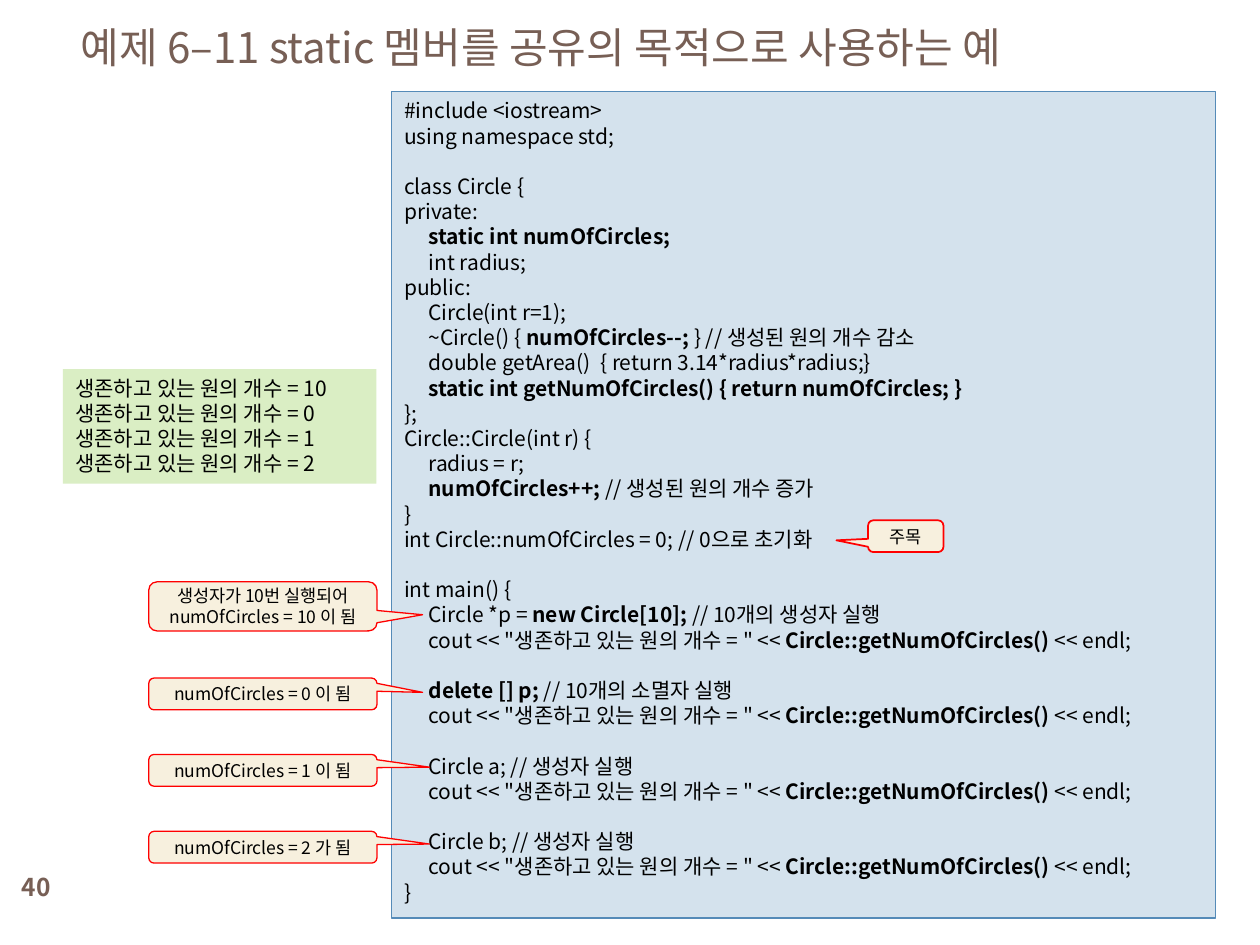
import pptx
import pptx.dml.color
import pptx.enum.shapes
import pptx.enum.text
import pptx.oxml
import pptx.oxml.ns
import pptx.util
from pptx.util import Cm

FONT = "Noto Sans CJK KR"
BROWN, BLACK, RED = "775F55", "000000", "FF0000"
CODE_FILL, CODE_LINE = "D4E2ED", "558BB8"
OUTPUT_FILL, CALLOUT_FILL = "DAEEC4", "F7F0DE"
ALIGN = pptx.enum.text.PP_ALIGN
ANCHOR = pptx.enum.text.MSO_ANCHOR
SHAPE = pptx.enum.shapes.MSO_SHAPE

PRINT_COUNT = '\tcout << "생존하고 있는 원의 개수 = " << **Circle::getNumOfCircles()** << endl;'

# A tab indents a line, ** switches bold, an empty entry opens a gap.
CODE = [
    "#include <iostream>",
    "using namespace std;",
    "",
    "class Circle {",
    "private:",
    "\t**static int numOfCircles;**",
    "\tint radius;",
    "public:",
    "\tCircle(int r=1);",
    "\t~Circle() { **numOfCircles--; **} // 생성된 원의 개수 감소",
    "\tdouble getArea()  { return 3.14*radius*radius;}",
    "\t**static int getNumOfCircles() { return numOfCircles; }**",
    "};",
    "Circle::Circle(int r) {",
    "\tradius = r;",
    "\t**numOfCircles++; **// 생성된 원의 개수 증가",
    "}",
    "int Circle::numOfCircles = 0; // 0으로 초기화",
    "",
    "int main() {",
    "\tCircle *p = **new Circle[10]; **// 10개의 생성자 실행",
    PRINT_COUNT,
    "",
    "\t**delete [] p; **// 10개의 소멸자 실행",
    PRINT_COUNT,
    "",
    "\tCircle a; // 생성자 실행",
    PRINT_COUNT,
    "",
    "\tCircle b; // 생성자 실행",
    PRINT_COUNT,
    "}",
]
OUTPUT = [f"생존하고 있는 원의 개수 = {count}" for count in (10, 0, 1, 2)]

# Text, left, top, width, height (cm), line width (pt), pointer x and y
CALLOUTS = [
    ("주목", 17.5, 10.49, 1.52, 0.64, 1, -0.92, 0.13),
    ("생성자가 10번 실행되어\vnumOfCircles = 10 이 됨", 3, 11.73, 4.6, 0.99, 0.75, 0.7, 0.17),
    ("numOfCircles = 0 이 됨", 3, 13.67, 4.6, 0.64, 0.75, 0.7, -0.05),
    ("numOfCircles = 1 이 됨", 3, 15.21, 4.6, 0.64, 0.75, 0.73, -0.1),
    ("numOfCircles = 2 가 됨", 3, 16.76, 4.6, 0.64, 0.75, 0.73, -0.1),
]


def color(hex_value):
    return pptx.dml.color.RGBColor.from_string(hex_value)


def place(shape, left, top, width, height):
    shape.left, shape.top = Cm(left), Cm(top)
    shape.width, shape.height = Cm(width), Cm(height)


def style_paragraph(para, size, font_color=BLACK, align=ALIGN.LEFT, bold=False):
    """Set the font, for Latin and Korean letters alike, and the alignment."""
    para.alignment = align
    font = para.font
    font.name, font.size, font.bold = FONT, pptx.util.Pt(size), bold
    font.color.rgb = color(font_color)
    east_asian = pptx.oxml.parse_xml(
        f'<a:ea {pptx.oxml.ns.nsdecls("a")} typeface="{FONT}"/>')
    font._element.find(pptx.oxml.ns.qn("a:latin")).addnext(east_asian)


def add_panel(slide, kind, bounds, fill, line=None, line_width=0.75):
    panel = slide.shapes.add_shape(kind, *map(Cm, bounds))
    panel.shadow.inherit = False
    panel.fill.solid()
    panel.fill.fore_color.rgb = color(fill)
    if line:
        panel.line.color.rgb = color(line)
        panel.line.width = pptx.util.Pt(line_width)
    else:
        panel.line.fill.background()
    panel.text_frame.word_wrap = True
    return panel


def write_lines(frame, lines, size=12):
    """Write one paragraph per line, reading the marks described at CODE."""
    pitch = pptx.util.Pt(size * 1.2)
    frame.vertical_anchor = ANCHOR.TOP
    para, gap = frame.paragraphs[0], False
    for index, line in enumerate(lines):
        if not line:
            gap = True
            continue
        if index:
            para = frame.add_paragraph()
        style_paragraph(para, size)
        para.line_spacing = pitch
        if gap:
            para.space_before = pitch
            gap = False
        if line.startswith("\t"):
            para._p.get_or_add_pPr().set("marL", str(Cm(0.49)))
        for part, text in enumerate(line.lstrip("\t").split("**")):
            if text:
                span = para.add_run()
                span.text = text
                if part % 2:
                    span.font.bold = True


def add_callout(slide, text, left, top, width, height, line_width, tip_x, tip_y):
    callout = add_panel(slide, SHAPE.ROUNDED_RECTANGULAR_CALLOUT,
                        (left, top, width, height), CALLOUT_FILL, RED, line_width)
    callout.adjustments[0], callout.adjustments[1] = tip_x, tip_y
    frame = callout.text_frame
    frame.margin_left = frame.margin_right = 0
    frame.margin_top = frame.margin_bottom = 0
    frame.vertical_anchor = ANCHOR.MIDDLE
    para = frame.paragraphs[0]
    para.text = text
    para.line_spacing = pptx.util.Pt(12)
    style_paragraph(para, 10, align=ALIGN.CENTER)


def write_title(slide, text):
    title = slide.shapes.title
    place(title, 1.37, 0, 22.66, 1.88)
    title.text_frame.vertical_anchor = ANCHOR.MIDDLE
    para = title.text_frame.paragraphs[0]
    para.text = text
    style_paragraph(para, 24, BROWN)


def add_page_number(slide, number):
    box = slide.shapes.add_textbox(0, Cm(17.35), Cm(1.47), Cm(1.07))
    box.text_frame.word_wrap = True
    box.text_frame.vertical_anchor = ANCHOR.MIDDLE
    para = box.text_frame.paragraphs[0]
    para.text = str(number)
    style_paragraph(para, 14, BROWN, ALIGN.CENTER, bold=True)


def main():
    deck = pptx.Presentation()
    deck.slide_width, deck.slide_height = Cm(25.4), Cm(19.05)
    slide = deck.slides.add_slide(deck.slide_layouts.get_by_name("Title Only"))
    add_page_number(slide, 40)
    write_title(slide, "예제 6–11 static 멤버를 공유의 목적으로 사용하는 예")
    code = add_panel(slide, SHAPE.RECTANGLE, (7.9, 1.85, 16.61, 16.66), CODE_FILL, CODE_LINE)
    write_lines(code.text_frame, CODE)
    output = add_panel(slide, SHAPE.RECTANGLE, (1.27, 7.44, 6.32, 2.31), OUTPUT_FILL)
    write_lines(output.text_frame, OUTPUT)
    for callout in CALLOUTS:
        add_callout(slide, *callout)
    deck.save("out.pptx")


if __name__ == "__main__":
    main()
